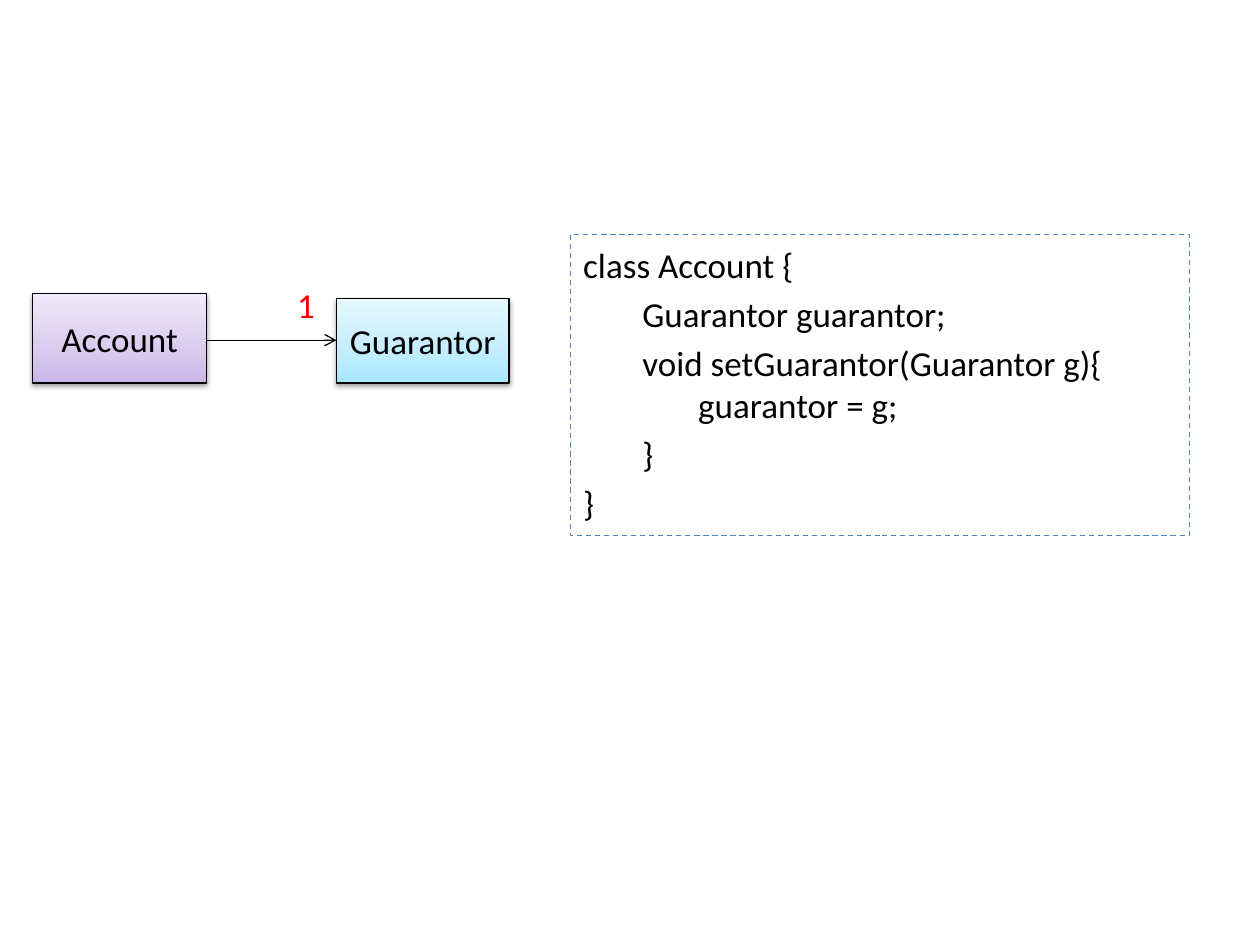
from copy import deepcopy
from dataclasses import dataclass

from pptx import Presentation
from pptx.dml.color import RGBColor
from pptx.enum.dml import MSO_LINE as Dash
from pptx.enum.shapes import MSO_CONNECTOR as Link, MSO_SHAPE as Kind
from pptx.enum.text import MSO_ANCHOR as Anchor, PP_ALIGN as Align
from pptx.oxml import parse_xml
from pptx.oxml.ns import nsdecls, qn
from pptx.util import Inches, Pt


@dataclass
class Node:
    name: str
    area: tuple[float, float, float, float]
    stops: tuple[str, str, str]


@dataclass
class Row:
    text: str
    level: int = 0


BLACK = "000000"
NODES = [
    Node("Account", (0.26, 2.33, 1.38, 0.71), ("C9B5E8", "D8CBEE", "F0EAF9")),
    Node("Guarantor", (2.67, 2.37, 1.37, 0.67), ("A7E6FF", "C1EDFF", "E7F8FF")),
]
CODE = [
    Row("class Account {"),
    Row("Guarantor guarantor;", 1),
    Row("void setGuarantor(Guarantor g){\v guarantor = g;", 1),
    Row("}", 1),
    Row("}"),
]
SHADE = (
    f'<a:outerShdw {nsdecls("a")} blurRad="40000" dist="20000" dir="5400000" '
    'rotWithShape="0"><a:srgbClr val="000000"><a:alpha val="38000"/>'
    "</a:srgbClr></a:outerShdw>"
)


def tint(color, value: str) -> None:
    color.rgb = RGBColor.from_string(value)


def style(font, color: str = BLACK) -> None:
    for key, value in {"name": "Calibri", "size": Pt(20)}.items():
        setattr(font, key, value)
    tint(font.color, color)


def rule(line, color: str = BLACK) -> None:
    line.width = Pt(0.75)
    tint(line.color, color)


def add_node(slide, node: Node) -> None:
    box = slide.shapes.add_shape(Kind.RECTANGLE, *map(Inches, node.area))
    box.fill.gradient()
    box.fill.gradient_angle = 90
    props = box.element.spPr
    stops = props.find(f"{qn('a:gradFill')}/{qn('a:gsLst')}")
    stops.insert(1, deepcopy(stops[0]))
    for stop, place, color in zip(box.fill.gradient_stops, (0, 0.35, 1), node.stops):
        stop.position = place
        tint(stop.color, color)
    rule(box.line)
    box.shadow.inherit = False
    props.find(qn("a:effectLst")).append(parse_xml(SHADE))
    frame = box.text_frame
    frame.vertical_anchor = Anchor.MIDDLE
    frame.text = node.name
    para = frame.paragraphs[0]
    para.alignment = Align.CENTER
    style(para.font)


def add_link(slide, start: float, end: float, top: float) -> None:
    ends = map(Inches, (start, top, end, top))
    link = slide.shapes.add_connector(Link.ELBOW, *ends)
    rule(link.line)
    line = link.line._get_or_add_ln()
    line.append(parse_xml(f'<a:tailEnd {nsdecls("a")} type="arrow"/>'))
    link.element.spPr.append(parse_xml(f'<a:effectLst {nsdecls("a")}/>'))


def add_count(slide, text: str) -> None:
    box = slide.shapes.add_textbox(*map(Inches, (2.26, 2.2, 0.34, 0.44)))
    box.text_frame.word_wrap = False
    box.text_frame.text = text
    style(box.text_frame.paragraphs[0].font, "FF0000")


def add_code(slide, rows: list[Row]) -> None:
    box = slide.shapes.add_textbox(*map(Inches, (4.53, 1.86, 4.91, 2.39)))
    box.fill.solid()
    tint(box.fill.fore_color, "FFFFFF")
    rule(box.line, "4F81BD")
    box.line.dash_style = Dash.DASH
    frame = box.text_frame
    frame.word_wrap = True
    frame.margin_top = Inches(0.07)
    for i, row in enumerate(rows):
        para = frame.add_paragraph() if i else frame.paragraphs[0]
        para.text = row.text
        para.level = row.level
        para.space_before = Pt(4 if i else 0)
        props = para._p.get_or_add_pPr()
        left = 0.38 + 0.47 * row.level
        for key, value in {"marL": left, "indent": -0.38}.items():
            props.set(key, str(Inches(value)))
        style(para.font)


def main() -> None:
    deck = Presentation()
    deck.slide_width, deck.slide_height = Inches(10), Inches(7.5)
    slide = deck.slides.add_slide(deck.slide_layouts[6])
    for node in NODES:
        add_node(slide, node)
    add_link(slide, 1.64, 2.67, 2.7)
    add_count(slide, "1")
    add_code(slide, CODE)
    deck.save("out.pptx")


if __name__ == "__main__":
    main()
